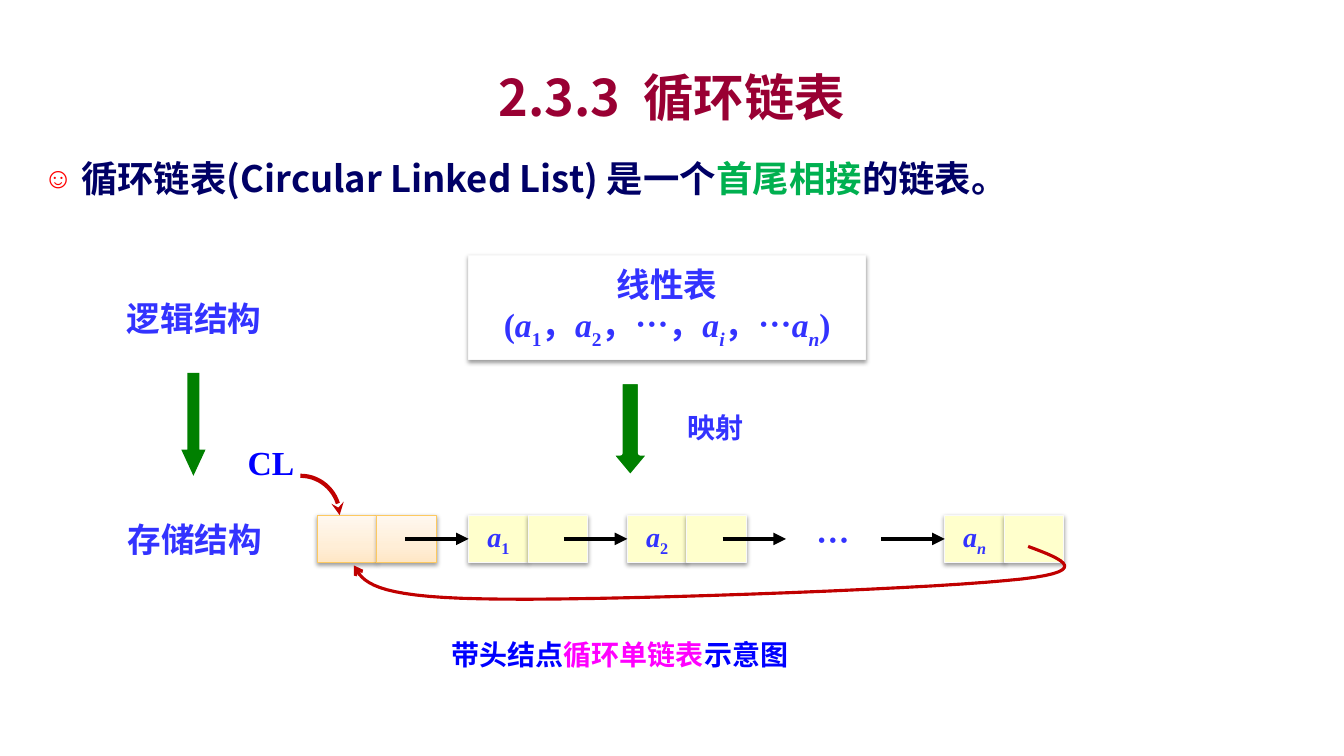
from dataclasses import dataclass
from copy import deepcopy

from lxml.etree import SubElement
from pptx import Presentation
from pptx.dml.color import RGBColor
from pptx.enum.shapes import MSO_CONNECTOR, MSO_SHAPE
from pptx.enum.text import MSO_ANCHOR, MSO_AUTO_SIZE, PP_ALIGN
from pptx.oxml.ns import qn
from pptx.util import Cm, Pt

MAROON = RGBColor(0x99, 0x00, 0x33)
NAVY = RGBColor(0x00, 0x00, 0x66)
EMERALD = RGBColor(0x00, 0xB0, 0x50)
INDIGO = RGBColor(0x33, 0x33, 0xFF)
BLUE = RGBColor(0x00, 0x00, 0xFF)
MAGENTA = RGBColor(0xFF, 0x00, 0xFF)
GREEN = RGBColor(0x00, 0x80, 0x00)
RED = RGBColor(0xC0, 0x00, 0x00)
BLACK = RGBColor(0x00, 0x00, 0x00)
WHITE = RGBColor(0xFF, 0xFF, 0xFF)
PALE_GREY = RGBColor(0xF9, 0xF9, 0xF9)
PALE_YELLOW = RGBColor(0xFF, 0xFF, 0xCC)
ORANGE = RGBColor(0xFD, 0xC9, 0x60)
HEAD_GRADIENT = ((0, RGBColor(0xFF, 0xE7, 0xC6)), (0.35, RGBColor(0xFF, 0xEE, 0xD7)),
                 (1, RGBColor(0xFF, 0xF8, 0xF0)))
SANS, SERIF = "Noto Sans CJK SC", "Times New Roman"

CELL_WIDTH, CELL_HEIGHT, CELL_TOP = 1.5, 1.19, 12.98
HEAD_LEFT, FIRST_NODE_LEFT, NODE_PITCH = 8.0, 11.81, 4.0
LINK_LENGTH, LINK_Y = 1.6, 13.58


@dataclass
class Piece:
    text: str
    color: RGBColor = INDIGO
    italic: bool = False
    subscript: bool = False


@dataclass
class Label:
    left: float
    top: float
    width: float
    height: float
    pieces: list[Piece]
    size: int = 24
    font: str = SANS
    align: PP_ALIGN = PP_ALIGN.CENTER


@dataclass
class BlockArrow:
    left: float
    top: float
    width: float
    height: float
    head: float
    outlined: bool


def element(name: str, index: str, subscript_italic: bool = False) -> list[Piece]:
    return [Piece(name, italic=True), Piece(index, italic=subscript_italic, subscript=True)]


def write(paragraph, pieces: list[Piece], *, size: int, font: str = SANS,
          align: PP_ALIGN = PP_ALIGN.CENTER) -> None:
    paragraph.alignment = align
    for piece in pieces:
        run = paragraph.add_run()
        run.text = piece.text
        run.font.size, run.font.bold, run.font.italic = Pt(size), True, piece.italic
        run.font.color.rgb = piece.color
        run.font.name = font
        properties = run._r.get_or_add_rPr()
        SubElement(properties, qn("a:ea"), typeface=SANS)
        if piece.subscript:
            properties.set("baseline", "-25000")


def place(shape, left: float, top: float, width: float, height: float) -> None:
    shape.left, shape.top, shape.width, shape.height = Cm(left), Cm(top), Cm(width), Cm(height)


def add_label(slide, label: Label) -> None:
    box = slide.shapes.add_textbox(Cm(label.left), Cm(label.top), Cm(label.width), Cm(label.height))
    box.text_frame.word_wrap = True
    write(box.text_frame.paragraphs[0], label.pieces, size=label.size, font=label.font,
          align=label.align)


def add_box(slide, left: float, top: float, width: float, height: float,
            fill: RGBColor, line: RGBColor = PALE_GREY):
    box = slide.shapes.add_shape(MSO_SHAPE.RECTANGLE, Cm(left), Cm(top), Cm(width), Cm(height))
    box.fill.solid()
    box.fill.fore_color.rgb = fill
    box.line.color.rgb, box.line.width = line, Pt(0.75)
    box.text_frame.word_wrap = False
    box.text_frame.vertical_anchor = MSO_ANCHOR.MIDDLE
    box.shadow.inherit = False
    effects = box._element.spPr.find(qn("a:effectLst"))
    shadow = SubElement(effects, qn("a:outerShdw"), blurRad="40000", dist="20000",
                        dir="5400000", rotWithShape="0")
    shade = SubElement(shadow, qn("a:srgbClr"), val="000000")
    SubElement(shade, qn("a:alpha"), val="38000")
    return box


def add_cell_pair(slide, left: float, fill: RGBColor, line: RGBColor = PALE_GREY) -> list:
    return [add_box(slide, left + column * CELL_WIDTH, CELL_TOP, CELL_WIDTH, CELL_HEIGHT, fill, line)
            for column in range(2)]


def shade_head(cell) -> None:
    cell.fill.gradient()
    cell.fill.gradient_angle = 90
    stops = cell._element.spPr.find(".//" + qn("a:gsLst"))
    stops.append(deepcopy(stops[0]))
    for stop, (position, color) in zip(cell.fill.gradient_stops, HEAD_GRADIENT):
        stop.position, stop.color.rgb = position, color


def style_line(shape, color: RGBColor, width: float, arrowhead: str) -> None:
    shape.line.color.rgb, shape.line.width = color, Pt(width)
    SubElement(shape.line._get_or_add_ln(), qn("a:tailEnd"), type=arrowhead)


def add_link(slide, end_x: float) -> None:
    link = slide.shapes.add_connector(MSO_CONNECTOR.STRAIGHT, Cm(end_x - LINK_LENGTH), Cm(LINK_Y),
                                      Cm(end_x), Cm(LINK_Y))
    style_line(link, BLACK, 3, "triangle")
    SubElement(link._element.spPr, qn("a:effectLst"))


def add_curve(slide, points: list[tuple[float, float]], width: float, arrowhead: str) -> None:
    """Draw chained cubic curves; each takes three points after the shared start."""
    steps = 16
    vertices = []
    for first in range(0, len(points) - 1, 3):
        controls = points[first:first + 4]
        for step in range(1, steps + 1):
            t = step / steps
            weights = ((1 - t) ** 3, 3 * t * (1 - t) ** 2, 3 * t * t * (1 - t), t ** 3)
            vertices.append(tuple(Cm(sum(w * point[axis] for w, point in zip(weights, controls)))
                                  for axis in range(2)))
    builder = slide.shapes.build_freeform(Cm(points[0][0]), Cm(points[0][1]))
    builder.add_line_segments(vertices, close=False)
    curve = builder.convert_to_shape()
    curve.fill.background()
    curve.shadow.inherit = False
    style_line(curve, RED, width, arrowhead)


def add_block_arrow(slide, arrow: BlockArrow) -> None:
    shape = slide.shapes.add_shape(MSO_SHAPE.DOWN_ARROW, Cm(arrow.left), Cm(arrow.top),
                                   Cm(arrow.width), Cm(arrow.height))
    shape.adjustments[0], shape.adjustments[1] = 0.5, arrow.head
    shape.fill.solid()
    shape.fill.fore_color.rgb = GREEN
    shape.shadow.inherit = False
    if arrow.outlined:
        shape.line.color.rgb, shape.line.width = WHITE, Pt(3)
    else:
        shape.line.fill.background()


def add_heading(slide) -> None:
    title, body = slide.shapes.title, slide.placeholders[1]
    place(title, 2.54, 1.47, 28.78, 1.9)
    place(body, 0.84, 3.81, 31.9, 1.47)
    for placeholder in (title, body):
        placeholder.text_frame.auto_size = MSO_AUTO_SIZE.NONE
    title.text_frame.vertical_anchor = MSO_ANCHOR.MIDDLE
    write(title.text_frame.paragraphs[0], [Piece("2.3.3  循环链表", MAROON)], size=36)
    paragraph = body.text_frame.paragraphs[0]
    write(paragraph, [Piece("循环链表(Circular Linked List) 是一个", NAVY),
                      Piece("首尾相接", EMERALD), Piece("的链表。", NAVY)],
          size=26, align=PP_ALIGN.LEFT)
    paragraph.space_after = Pt(6)
    properties = paragraph._p.get_or_add_pPr()
    properties.set("marL", str(Cm(0.95)))
    properties.set("indent", str(-Cm(0.95)))
    SubElement(SubElement(properties, qn("a:buClr")), qn("a:srgbClr"), val="FF0000")
    SubElement(properties, qn("a:buSzPct"), val="80000")
    SubElement(properties, qn("a:buChar"), char="☺")


def main() -> None:
    presentation = Presentation()
    presentation.slide_width, presentation.slide_height = Cm(33.87), Cm(19.05)
    slide = presentation.slides.add_slide(presentation.slide_layouts[1])
    add_heading(slide)

    # Linear list
    frame = add_box(slide, 11.81, 6.43, 10.01, 2.62, WHITE).text_frame
    write(frame.paragraphs[0], [Piece("线性表")], size=24, font=SERIF)
    write(frame.add_paragraph(),
          [Piece("("), *element("a", "1"), Piece("，"), *element("a", "2"), Piece("，…，"),
           *element("a", "i", True), Piece("，…"), *element("a", "n", True), Piece(")")],
          size=24, font=SERIF)

    # Nodes and links
    for cell in add_cell_pair(slide, HEAD_LEFT, WHITE, ORANGE):
        shade_head(cell)
    for position, index in ((0, "1"), (1, "2"), (3, "n")):
        data, _ = add_cell_pair(slide, FIRST_NODE_LEFT + position * NODE_PITCH, PALE_YELLOW)
        write(data.text_frame.paragraphs[0], element("a", index, index == "n"), size=20, font=SERIF)
    for position in range(4):
        add_link(slide, FIRST_NODE_LEFT + position * NODE_PITCH)

    # Mapping arrows and labels
    for arrow in (BlockArrow(15.39, 9.63, 0.99, 2.39, 0.6, True),
                  BlockArrow(4.57, 9.4, 0.61, 2.59, 1.08, False)):
        add_block_arrow(slide, arrow)
    for label in (
        Label(16.69, 10.21, 2.67, 1.09, [Piece("映射")], size=20),
        Label(2.49, 7.37, 4.8, 1.27, [Piece("逻辑结构")]),
        Label(2.51, 12.95, 4.8, 1.27, [Piece("存储结构")]),
        Label(20.19, 12.98, 1.6, 1.27, [Piece("…")]),
        Label(5.99, 11.0, 1.78, 1.27, [Piece("CL", BLUE)], font=SERIF, align=PP_ALIGN.LEFT),
        Label(11.13, 15.95, 9.93, 1.12, [Piece("带头结点", BLUE), Piece("循环单链表", MAGENTA),
                                         Piece("示意图", BLUE)], size=20, align=PP_ALIGN.LEFT),
    ):
        add_label(slide, label)

    # Head pointer and the link back to the head node
    add_curve(slide, [(7.57, 11.99), (8.13, 11.99), (8.56, 12.45), (8.56, 12.98)], 3, "stealth")
    add_curve(slide, [(25.91, 13.77), (26.8, 14.1), (27.66, 14.43), (25.35, 14.63),
                      (23.06, 14.86), (14.86, 15.16), (12.12, 15.09),
                      (9.37, 15.04), (9.14, 14.66), (8.92, 14.25)], 2.25, "arrow")
    presentation.save("out.pptx")


if __name__ == "__main__":
    main()
